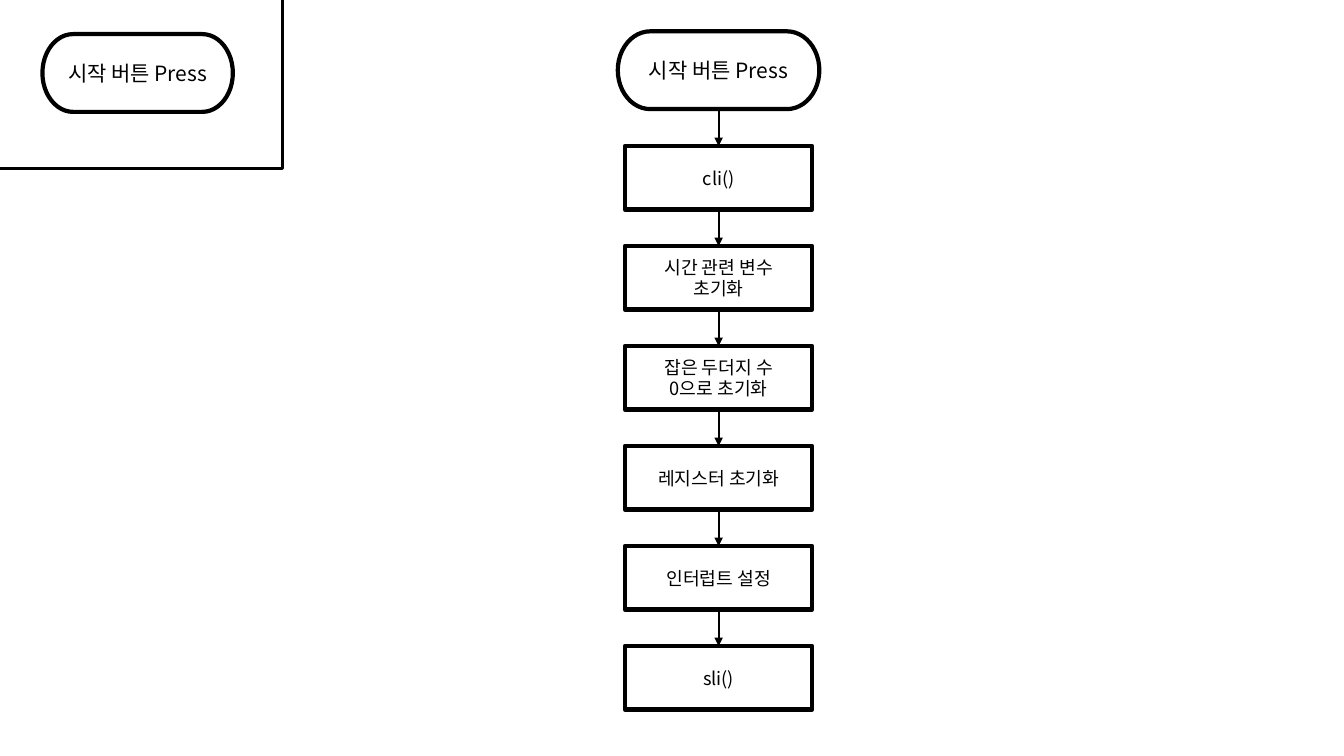
from lxml import etree
from pptx import Presentation
from pptx.dml.color import RGBColor
from pptx.enum.shapes import MSO_CONNECTOR, MSO_SHAPE
from pptx.enum.text import MSO_ANCHOR, PP_ALIGN
from pptx.oxml.ns import qn
from pptx.util import Cm, Pt

BLACK = RGBColor(0x00, 0x00, 0x00)
WHITE = RGBColor(0xFF, 0xFF, 0xFF)
TERMINATOR = MSO_SHAPE.FLOWCHART_TERMINATOR
RECTANGLE = MSO_SHAPE.RECTANGLE
STRAIGHT = MSO_CONNECTOR.STRAIGHT
CENTER = PP_ALIGN.CENTER
MIDDLE = MSO_ANCHOR.MIDDLE

FONT = "Noto Sans CJK KR"
START_TEXT = "시작 버튼 Press"
STEPS = [
    "cli()",
    "시간 관련 변수\n초기화",
    "잡은 두더지 수\n0으로 초기화",
    "레지스터 초기화",
    "인터럽트 설정",
    "sli()",
]

# Flow geometry in centimetres
AXIS = 18.11
START_TOP, START_WIDTH, START_HEIGHT = 0.79, 5.08, 1.96
STEP_TOP, STEP_WIDTH, STEP_HEIGHT, STEP_PITCH = 3.68, 4.72, 1.6, 2.52


class FlowPage:
    """Flowchart style and the slide it is drawn on."""

    def __init__(self, page):
        self.page = page

    def outline(self, kind, left, top, width, height, weight):
        shape = self.page.shapes.add_shape(
            kind, Cm(left), Cm(top), Cm(width), Cm(height))
        shape.shadow.inherit = False
        shape.fill.background()
        shape.line.color.rgb = BLACK
        shape.line.width = Pt(weight)
        return shape

    def node(self, kind, text, size, left, top, width, height):
        shape = self.outline(kind, left, top, width, height, 3)
        shape.fill.solid()
        shape.fill.fore_color.rgb = WHITE
        frame = shape.text_frame
        frame.text = text
        frame.word_wrap = True
        frame.vertical_anchor = MIDDLE
        frame.margin_left = frame.margin_right = Cm(0.1)
        for paragraph in frame.paragraphs:
            paragraph.alignment = CENTER
            for span in paragraph.runs:
                span.font.size = Pt(size)
                span.font.name = FONT
                span.font.color.rgb = BLACK
                east_asian = etree.SubElement(span.font._element, qn("a:ea"))
                east_asian.set("typeface", FONT)

    def arrow_down(self, x, top, bottom):
        arrow = self.page.shapes.add_connector(
            STRAIGHT, Cm(x), Cm(top), Cm(x), Cm(bottom))
        arrow.line.color.rgb = BLACK
        arrow.line.width = Pt(1.5)
        head = etree.SubElement(arrow.line._get_or_add_ln(), qn("a:tailEnd"))
        head.set("type", "triangle")
        etree.SubElement(arrow._element.spPr, qn("a:effectLst"))


def main():
    deck = Presentation()
    deck.slide_width, deck.slide_height = Cm(33.87), Cm(19.05)
    blank_layout = deck.slide_layouts[6]
    flow = FlowPage(deck.slides.add_slide(blank_layout))

    # Framed entry point in the corner
    flow.node(TERMINATOR, START_TEXT, 15, 1.07, 0.86, 4.8, START_HEIGHT)
    flow.outline(RECTANGLE, -0.36, -0.25, 7.49, 4.5, 2.25)

    # Start of the flow
    flow.node(TERMINATOR, START_TEXT, 15, AXIS - START_WIDTH / 2,
              START_TOP, START_WIDTH, START_HEIGHT)

    # Steps, each with the arrow that leads into it
    previous_bottom = START_TOP + START_HEIGHT
    for index, text in enumerate(STEPS):
        top = STEP_TOP + index * STEP_PITCH
        flow.node(RECTANGLE, text, 13, AXIS - STEP_WIDTH / 2,
                  top, STEP_WIDTH, STEP_HEIGHT)
        flow.arrow_down(AXIS, previous_bottom, top)
        previous_bottom = top + STEP_HEIGHT

    deck.save("out.pptx")


if __name__ == "__main__":
    main()
